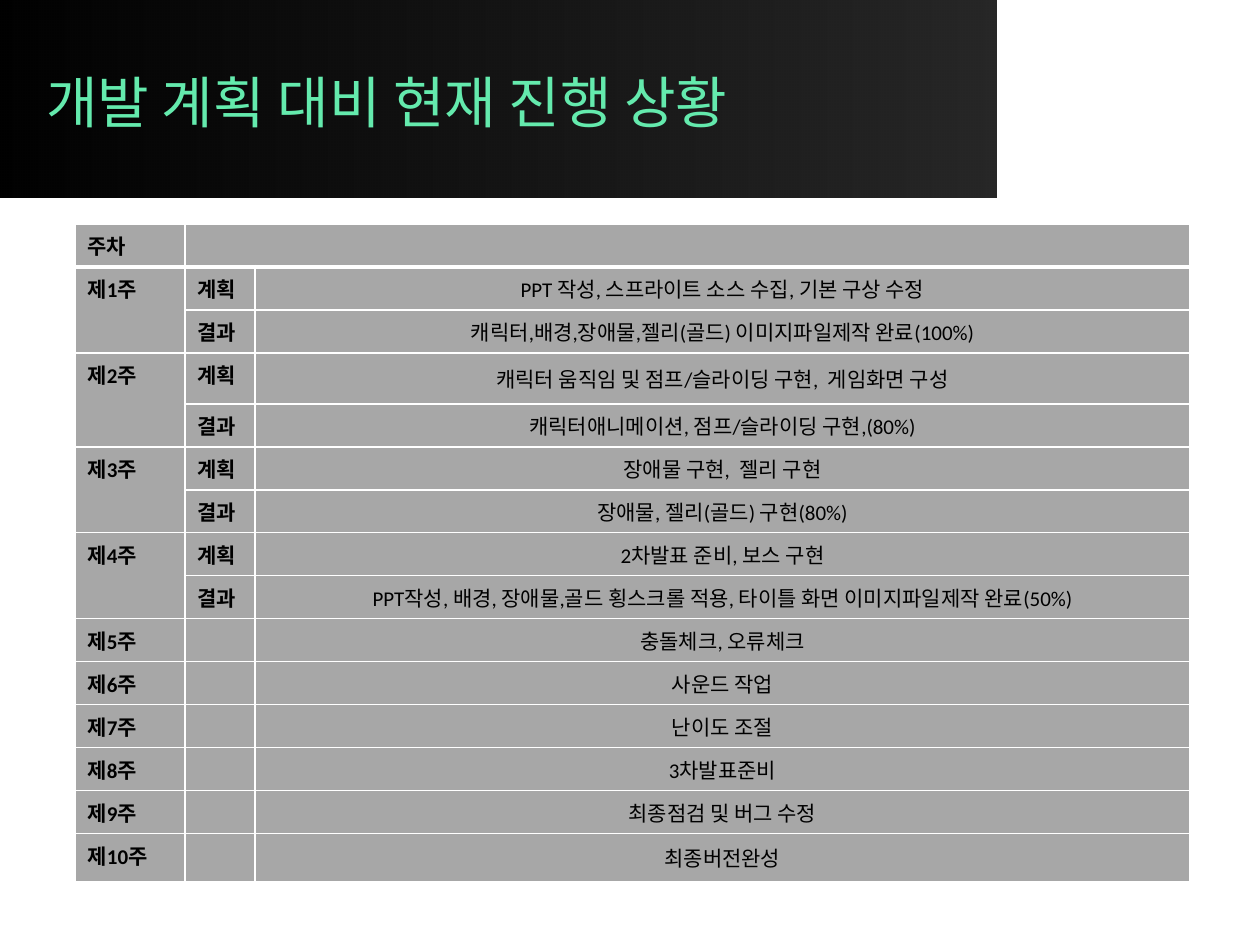
from lxml import etree
from pptx import Presentation
from pptx.dml.color import RGBColor
from pptx.enum.shapes import MSO_SHAPE
from pptx.enum.text import MSO_ANCHOR, PP_ALIGN
from pptx.oxml.ns import qn
from pptx.util import Emu, Pt

RECTANGLE = MSO_SHAPE.RECTANGLE
MIDDLE = MSO_ANCHOR.MIDDLE
TOP = MSO_ANCHOR.TOP
CENTER = PP_ALIGN.CENTER
LEFT = PP_ALIGN.LEFT

BLACK = RGBColor(0x00, 0x00, 0x00)
GRAY = RGBColor(0x80, 0x80, 0x80)
WHITE = RGBColor(0xFF, 0xFF, 0xFF)
MINT = RGBColor(0x64, 0xEA, 0xAD)

EMU_PER_PX = 914400 // 126
BODY_SIZE = Pt(12)
COLUMN_WIDTHS = (110, 70, 935)
ROW_HEIGHT = 43
TALL_ROWS = {3: 51, 14: 48}
PLAN, RESULT = "계획", "결과"

WEEKS = [
    ("제1주", "PPT 작성, 스프라이트 소스 수집, 기본 구상 수정",
     "캐릭터,배경,장애물,젤리(골드) 이미지파일제작 완료(100%)"),
    ("제2주", "캐릭터 움직임 및 점프/슬라이딩 구현,  게임화면 구성",
     "캐릭터애니메이션, 점프/슬라이딩 구현,(80%)"),
    ("제3주", "장애물 구현,  젤리 구현", "장애물, 젤리(골드) 구현(80%)"),
    ("제4주", "2차발표 준비, 보스 구현",
     "PPT작성, 배경, 장애물,골드 횡스크롤 적용, 타이틀 화면 이미지파일제작 완료(50%)"),
    ("제5주", "충돌체크, 오류체크"),
    ("제6주", "사운드 작업"),
    ("제7주", "난이도 조절"),
    ("제8주", "3차발표준비"),
    ("제9주", "최종점검 및 버그 수정"),
    ("제10주", "최종버전완성"),
]


def px(length):
    """Turn whole pixels into EMU."""
    return Emu(length * EMU_PER_PX)


def set_alpha(color_element, percent):
    """Set the opacity of a colour element."""
    etree.SubElement(color_element, qn("a:alpha"), val=str(percent * 1000))


def style_runs(paragraph, font_name, size, color, bold=False):
    """Format every run of a paragraph."""
    for run in paragraph.runs:
        run.font.name = font_name
        run.font.size = size
        run.font.bold = bold
        run.font.color.rgb = color


def add_banner(slide):
    """Add the dark gradient band behind the title."""
    banner = slide.shapes.add_shape(RECTANGLE, 0, 0, px(997), px(198))
    banner.shadow.inherit = False
    banner.line.fill.background()
    banner.fill.gradient()
    banner.fill.gradient_angle = 0
    for stop in banner.fill.gradient_stops:
        stop.color.rgb = BLACK
    colors = list(banner._element.spPr.iter(qn("a:srgbClr")))
    set_alpha(colors[-1], 85)


def add_title(slide, text):
    """Add the slide title."""
    title = slide.shapes.add_textbox(px(34), px(38), px(942), px(127))
    text_frame = title.text_frame
    text_frame.word_wrap = True
    text_frame.vertical_anchor = MIDDLE
    text_frame.text = text
    style_runs(text_frame.paragraphs[0], "Arial", Pt(32), MINT)


def set_borders(cell, top, bottom):
    """Draw white cell borders with the given top and bottom widths."""
    properties = cell._tc.get_or_add_tcPr()
    widths = {"lnL": 1, "lnR": 1, "lnT": top, "lnB": bottom}
    for index, (side, width) in enumerate(widths.items()):
        line = etree.Element(qn(f"a:{side}"), w=str(Pt(width)))
        fill = etree.SubElement(line, qn("a:solidFill"))
        etree.SubElement(fill, qn("a:srgbClr"), val=str(WHITE))
        properties.insert(index, line)


def fill_cell(cell, text, is_task, top, bottom):
    """Write and format one table cell."""
    cell.fill.solid()
    cell.fill.fore_color.rgb = GRAY
    set_alpha(next(cell._tc.tcPr.iter(qn("a:srgbClr"))), 69)
    set_borders(cell, top, bottom)
    cell.vertical_anchor = MIDDLE if is_task else TOP
    cell.text_frame.text = text
    paragraph = cell.text_frame.paragraphs[0]
    paragraph.alignment = CENTER if is_task else LEFT
    style_runs(paragraph, "Calibri", BODY_SIZE, BLACK, bold=not is_task)
    if not text:
        etree.SubElement(paragraph._p, qn("a:endParaRPr"), sz=str(BODY_SIZE.centipoints))


def schedule_rows():
    """List the table rows and the rows where a two-row week starts."""
    rows, paired = [("주차", "", "")], []
    for week, plan, *results in WEEKS:
        if results:
            paired.append(len(rows))
        rows.append((week, PLAN if results else "", plan))
        rows.extend(("", RESULT, result) for result in results)
    return rows, paired


def add_schedule(slide):
    """Add the weekly table of plans and results."""
    rows, paired = schedule_rows()
    heights = [TALL_ROWS.get(index, ROW_HEIGHT) for index in range(len(rows))]
    frame = slide.shapes.add_table(
        len(rows), len(COLUMN_WIDTHS), px(75), px(224),
        px(sum(COLUMN_WIDTHS)), px(sum(heights)))
    table = frame.table
    table.first_row = False
    table.horz_banding = False
    for column, width in zip(table.columns, COLUMN_WIDTHS):
        column.width = px(width)
    for index, (row, height) in enumerate(zip(rows, heights)):
        table.rows[index].height = px(height)
        top, bottom = 3 if index == 1 else 1, 3 if index == 0 else 1
        for column, text in enumerate(row):
            fill_cell(table.cell(index, column), text, column == 2, top, bottom)
    table.cell(0, 1).merge(table.cell(0, 2))
    for index in paired:
        table.cell(index, 0).merge(table.cell(index + 1, 0))


def main():
    """Build the progress slide."""
    presentation = Presentation()
    presentation.slide_width = px(1260)
    presentation.slide_height = px(945)
    slide = presentation.slides.add_slide(presentation.slide_layouts[6])
    add_banner(slide)
    add_title(slide, "개발 계획 대비 현재 진행 상황")
    add_schedule(slide)
    presentation.save("out.pptx")


if __name__ == "__main__":
    main()
